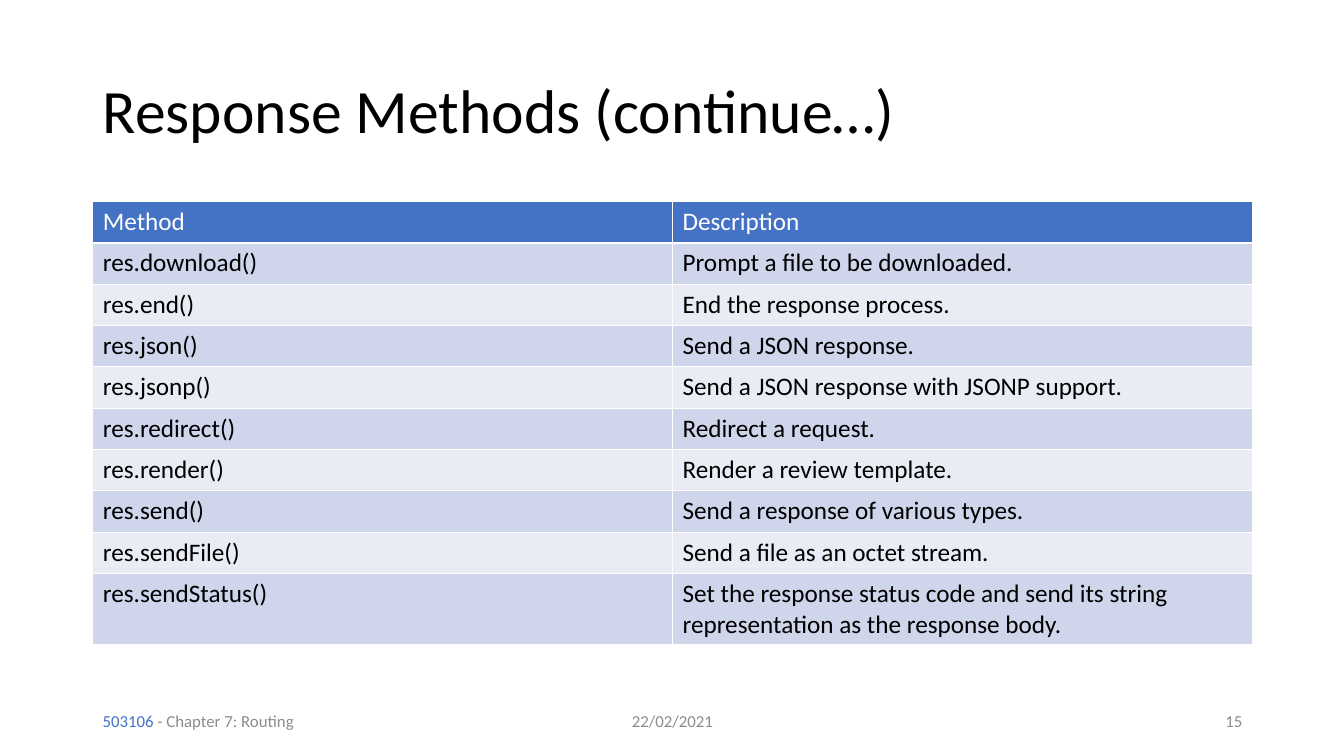
from pptx import Presentation
from pptx.dml.color import RGBColor
from pptx.enum.text import MSO_ANCHOR, PP_ALIGN
from pptx.util import Inches, Pt

LEFT, CENTER, RIGHT = PP_ALIGN.LEFT, PP_ALIGN.CENTER, PP_ALIGN.RIGHT
MIDDLE = MSO_ANCHOR.MIDDLE
TITLE_ONLY = 5

FONT = "Calibri"
BLUE, GRAY, BLACK, WHITE = "4472C4", "8C8C8C", "000000", "FFFFFF"
BANDS = ("CFD5EA", "E9EBF5")

SLIDE_WIDTH, SLIDE_HEIGHT = 13.33, 7.5
MARGIN = 0.92
CONTENT_WIDTH = 11.5
ROW_HEIGHT, TALL_ROW_HEIGHT = 0.41, 0.7

METHODS = [
    ("Method", "Description"),
    ("res.download()", "Prompt a file to be downloaded."),
    ("res.end()", "End the response process."),
    ("res.json()", "Send a JSON response."),
    ("res.jsonp()", "Send a JSON response with JSONP support."),
    ("res.redirect()", "Redirect a request."),
    ("res.render()", "Render a review template."),
    ("res.send()", "Send a response of various types."),
    ("res.sendFile()", "Send a file as an octet stream."),
    ("res.sendStatus()", "Set the response status code and send its string "
                         "representation as the response body."),
]


def color(hex_string):
    """Turn a hex string into a colour."""
    return RGBColor.from_string(hex_string)


def add_run(paragraph, text, size, hex_string):
    """Append one formatted run to a paragraph."""
    run = paragraph.add_run()
    run.text = text
    run.font.name = FONT
    run.font.size = Pt(size)
    run.font.bold = False
    run.font.color.rgb = color(hex_string)


def add_title(slide, box, text):
    """Place and format the title placeholder in the box."""
    title = slide.shapes.title
    title.left, title.top, title.width, title.height = map(Inches, box)
    title.text_frame.vertical_anchor = MIDDLE
    paragraph = title.text_frame.paragraphs[0]
    paragraph.alignment = LEFT
    paragraph.line_spacing = 0.9
    add_run(paragraph, text, 44, BLACK)


def add_method_table(slide, box, entries):
    """Fill the box with a banded table whose last row is taller."""
    frame = slide.shapes.add_table(len(entries), len(entries[0]), *map(Inches, box))
    table = frame.table
    for column in table.columns:
        column.width = Inches(box[2] / len(entries[0]))
    for index, entry in enumerate(entries):
        is_last = index == len(entries) - 1
        table.rows[index].height = Inches(TALL_ROW_HEIGHT if is_last else ROW_HEIGHT)
        fill = BANDS[(index - 1) % 2] if index else BLUE
        for cell, text in zip(table.rows[index].cells, entry):
            cell.fill.solid()
            cell.fill.fore_color.rgb = color(fill)
            add_run(cell.text_frame.paragraphs[0], text, 18, BLACK if index else WHITE)


def add_footer(slide, box):
    """Place the course, date and page number along the box."""
    left, top, width, height = box
    parts = [
        (0, 2.83, LEFT, [("503106", BLUE), (" - Chapter 7: Routing", GRAY)]),
        ((width - 4.5) / 2, 4.5, CENTER, [("22/02/2021", GRAY)]),
        (width - 3, 3, RIGHT, [("15", GRAY)]),
    ]
    for offset, part_width, alignment, runs in parts:
        part_box = (left + offset, top, part_width, height)
        text_frame = slide.shapes.add_textbox(*map(Inches, part_box)).text_frame
        text_frame.word_wrap = True
        text_frame.vertical_anchor = MIDDLE
        paragraph = text_frame.paragraphs[0]
        paragraph.alignment = alignment
        for text, hex_string in runs:
            add_run(paragraph, text, 12, hex_string)


def main():
    """Build and save the response methods slide."""
    presentation = Presentation()
    presentation.slide_width = Inches(SLIDE_WIDTH)
    presentation.slide_height = Inches(SLIDE_HEIGHT)
    slide = presentation.slides.add_slide(presentation.slide_layouts[TITLE_ONLY])
    table_height = ROW_HEIGHT * (len(METHODS) - 1) + TALL_ROW_HEIGHT
    add_title(slide, (MARGIN, 0.4, CONTENT_WIDTH, 1.45), "Response Methods (continue…)")
    add_method_table(slide, (MARGIN, 2, CONTENT_WIDTH, table_height), METHODS)
    add_footer(slide, (MARGIN, 6.95, CONTENT_WIDTH, 0.4))
    presentation.save("out.pptx")


if __name__ == "__main__":
    main()
